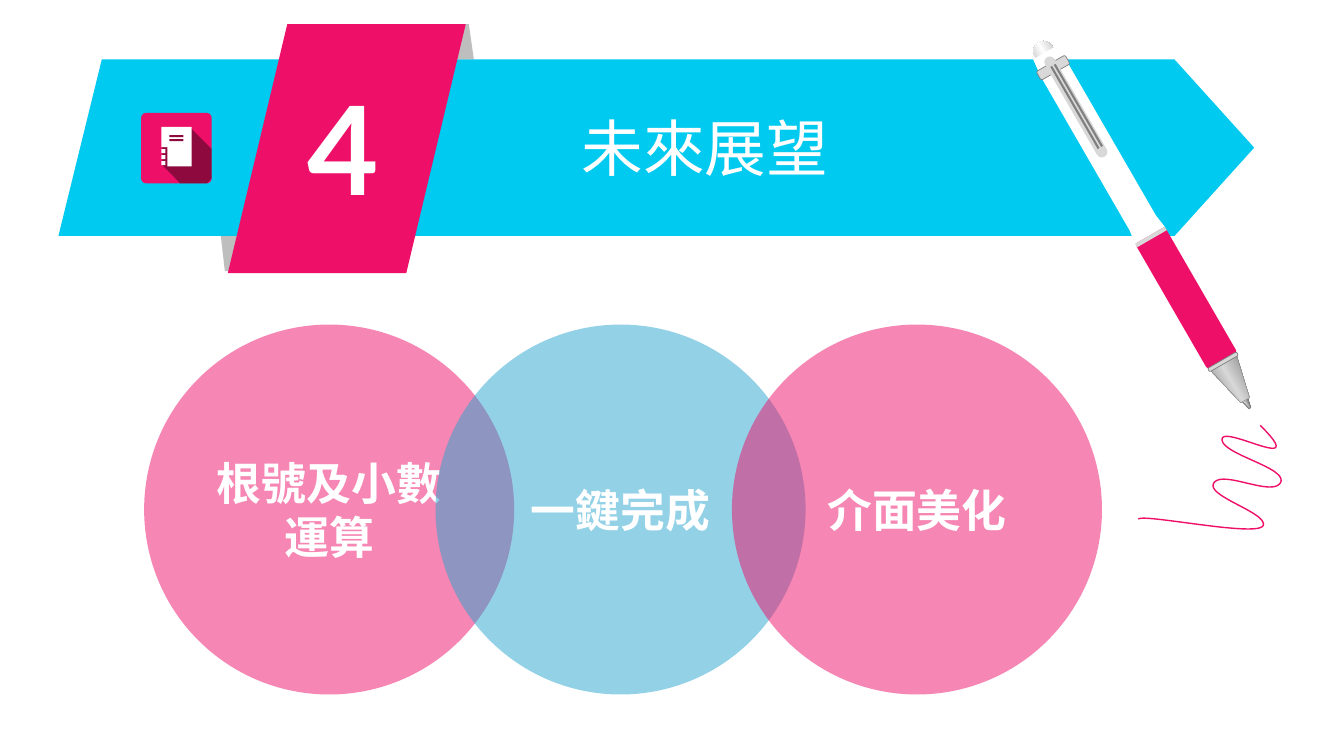
from math import cos, sin, radians
from lxml.etree import SubElement
from pptx import Presentation
from pptx.dml.color import RGBColor
from pptx.enum.shapes import MSO_CONNECTOR as LINE, MSO_SHAPE as KIND
from pptx.enum.text import MSO_ANCHOR, MSO_AUTO_SIZE, PP_ALIGN
from pptx.oxml.ns import qn
from pptx.util import Inches, Pt

PINK, CYAN, BLUE = "EE0F68", "00CAF0", "29A4D0"
WHITE, BLACK, GREY, PALE = "FFFFFF", "000000", "7F7F7F", "D8D8D8"
HAN = "Noto Sans CJK SC"


def tint(fill, color, alpha=100):
    """Fill with a hex colour, at a given opacity."""
    fill.solid()
    fill.fore_color.rgb = RGBColor.from_string(color)
    if alpha < 100:
        node = fill._xPr.find(qn("a:solidFill"))[0]
        SubElement(node, qn("a:alpha"), val=str(alpha * 1000))


def blend(shape, stops, angle):
    """Fill with a linear gradient of (percent, hex) stops."""
    shape.fill.gradient()
    grad = shape._element.spPr.find(qn("a:gradFill"))
    grad.clear()
    grad.set("rotWithShape", "1")
    stop_list = SubElement(grad, qn("a:gsLst"))
    for pos, color in stops:
        stop = SubElement(stop_list, qn("a:gs"), pos=str(pos * 1000))
        SubElement(stop, qn("a:srgbClr"), val=color)
    SubElement(grad, qn("a:lin"), ang=str(angle * 60000), scaled="0")


def style(shape, color=None, alpha=100, edge=None, width=1):
    shape.shadow.inherit = False
    if color:
        tint(shape.fill, color, alpha)
    else:
        shape.fill.background()
    if edge:
        tint(shape.line.fill, edge)
        shape.line.width = Pt(width)
    else:
        shape.line.fill.background()
    return shape


def block(slide, kind, box, color, adj=None, **look):
    shape = slide.shapes.add_shape(kind, *map(Inches, box))
    if adj is not None:
        shape.adjustments[0] = adj
    return style(shape, color, **look)


def outline(slide, points, color=None, close=True, **look):
    spots = [(Inches(x), Inches(y)) for x, y in points]
    path = slide.shapes.build_freeform(*spots[0])
    path.add_line_segments(spots[1:], close=close)
    return style(path.convert_to_shape(), color, **look)


def write(frame, text, size, font, bold=False, align=PP_ALIGN.CENTER):
    frame.word_wrap = True
    frame.auto_size = MSO_AUTO_SIZE.NONE
    frame.vertical_anchor = MSO_ANCHOR.MIDDLE
    frame.text = text
    para = frame.paragraphs[0]
    para.alignment = align
    para.font.size, para.font.bold, para.font.name = Pt(size), bold, font
    tint(para.font.fill, WHITE)
    SubElement(para.font._element, qn("a:ea"), typeface=font)


def banner(slide, box, number, title):
    x, y, w, h = box
    # Arrow-ended band
    outline(slide, [(x + 0.43, y), (x + w - 0.79, y), (x + w, y + h / 2),
                    (x + w - 0.79, y + h), (x, y + h)], CYAN)
    # Folds behind the number tag
    for left, top, rise in ((x + 3.94, y, -0.35), (x + 1.61, y + h, 0.35)):
        outline(slide, [(left, top), (left + 0.04, top + rise),
                        (left + 0.13, top + rise), (left + 0.18, top)],
                GREY, alpha=50)
    # Number tag
    block(slide, KIND.PARALLELOGRAM, (x + 1.68, y - 0.35, 2.36, 2.47), PINK, 0.25)
    tag = slide.shapes.add_textbox(*map(Inches, (x + 2.12, y + 0.07, 1.41, 1.58)))
    write(tag.text_frame, number, 88, "Lato", True)
    # Title, brought above the band
    head = slide.shapes.title
    head.left, head.top, head.width, head.height = map(
        Inches, (x + 5.09, y + 0.45, 6.64, 0.84))
    write(head.text_frame, title, 44, HAN, align=PP_ALIGN.LEFT)
    slide.shapes._spTree.append(head._element)


def icon(slide, box):
    x, y, side, _ = box
    block(slide, KIND.ROUNDED_RECTANGLE, box, PINK, 0.07)
    # Long shadow
    outline(slide, [(x + 0.49, y + 0.15), (x + side, y + 0.36),
                    (x + side, y + side - 0.05), (x + side - 0.05, y + side),
                    (x + 0.39, y + side), (x + 0.21, y + 0.52),
                    (x + 0.21, y + 0.32)], BLACK, alpha=40)
    # Notebook with ruled lines and rings
    outline(slide, [(x + 0.2, y + 0.14), (x + 0.5, y + 0.14), (x + 0.5, y + 0.53),
                    (x + 0.26, y + 0.53), (x + 0.26, y + 0.34),
                    (x + 0.2, y + 0.34)], WHITE)
    for row in range(2):
        block(slide, KIND.RECTANGLE, (x + 0.28, y + 0.22 + row * 0.04, 0.14, 0.02),
              "8F093E")
    for row in range(3):
        block(slide, KIND.RECTANGLE, (x + 0.2, y + 0.36 + row * 0.06, 0.04, 0.04),
              WHITE)


def pen(slide, left, top, angle=60):
    dx, dy = cos(radians(angle)), sin(radians(angle))

    def spot(along, off=0):
        return left + along * dx - off * dy, top + along * dy + off * dx

    def part(mid, size, wide, color, adj=0, **look):
        x, y = spot(mid)
        shape = block(slide, KIND.ROUNDED_RECTANGLE,
                      (x - size / 2, y - wide / 2, size, wide), color, adj, **look)
        shape.rotation = angle + 180
        return shape

    def taper(ends, color, **look):
        sides = [spot(a, b) for a, b in ends]
        return outline(slide, sides + [spot(a, -b) for a, b in ends[::-1]],
                       color, **look)

    # Cap, nib, grip and cone
    blend(part(0.26, 0.52, 0.2, GREY, 0.5),
          [(0, GREY), (51, WHITE), (100, GREY)], 270)
    nib = taper([(3.98, 0.03), (4.1, 0.03), (4.19, 0.01)], GREY, edge=GREY, width=0.75)
    blend(nib, [(0, "262626"), (36, GREY), (65, WHITE), (100, "262626")], 150)
    part(2.93, 1.45, 0.34, PINK, 0.11)
    cone = taper([(3.67, 0.15), (4.1, 0.05)], GREY, edge=GREY, width=0.25)
    blend(cone, [(0, GREY), (50, PALE), (100, GREY)], 150)
    # Barrel and rings
    taper([(0.12, 0.13), (0.31, 0.15), (2.07, 0.15), (2.21, 0.17)], WHITE)
    part(2.23, 0.04, 0.34, PALE)
    part(3.66, 0.04, 0.33, PALE, 0.37, edge=GREY, width=0.5)
    part(0.29, 0.1, 0.33, PALE, 0.2, edge=GREY, width=0.5)
    # Clip with its grooves
    part(0.74, 1.14, 0.11, PALE, 0.5)
    for off in (-0.03, 0.01):
        ends = map(Inches, spot(1.21, off) + spot(0.27, off))
        groove = slide.shapes.add_connector(LINE.STRAIGHT, *ends)
        tint(groove.line.fill, GREY)
        groove.line.width = Pt(1.5)
        SubElement(groove._element.spPr, qn("a:effectLst"))


def scrawl(slide, x, y):
    """Pen stroke, drawn through cubic curves from its top end."""
    curves = [((0.51, 0.51), (-0.38, -0.02), (-0.38, 0.14)),
              ((-0.38, 0.29), (0.28, 0.42), (0.2, 0.57)),
              ((0.11, 0.71), (-0.37, 0.44), (-0.46, 0.57)),
              ((-0.55, 0.7), (0.06, 0.86), (0.03, 0.99)),
              ((0, 1.12), (-1.17, 0.87), (-1.21, 0.93))]
    steps, start, points = 24, (0, 0), [(x, y)]
    for one, two, end in curves:
        for t in (i / steps for i in range(1, steps + 1)):
            u = 1 - t
            px, py = (u**3 * a + 3 * u * u * t * b + 3 * u * t * t * c + t**3 * d
                      for a, b, c, d in zip(start, one, two, end))
            points.append((x + px, y + py))
        start = end
    outline(slide, points, close=False, edge=PINK, width=1)


def circles(slide, top, size, items):
    for left, color, text in items:
        disc = block(slide, KIND.OVAL, (left, top, size, size), color, alpha=50)
        write(disc.text_frame, text, 32, HAN, True)


def main():
    deck = Presentation()
    deck.slide_width, deck.slide_height = Inches(13.33), Inches(7.5)
    slide = deck.slides.add_slide(deck.slide_layouts[5])
    banner(slide, (0.58, 0.59, 11.86, 1.75), "4", "未來展望")
    scrawl(slide, 12.5, 4.22)
    pen(slide, 10.3, 0.42)
    icon(slide, (1.4, 1.12, 0.7, 0.7))
    circles(slide, 3.22, 3.67, [(1.43, PINK, "根號及小數運算"),
                                (4.32, BLUE, "一鍵完成"),
                                (7.26, PINK, "介面美化")])
    deck.save("out.pptx")


if __name__ == "__main__":
    main()
